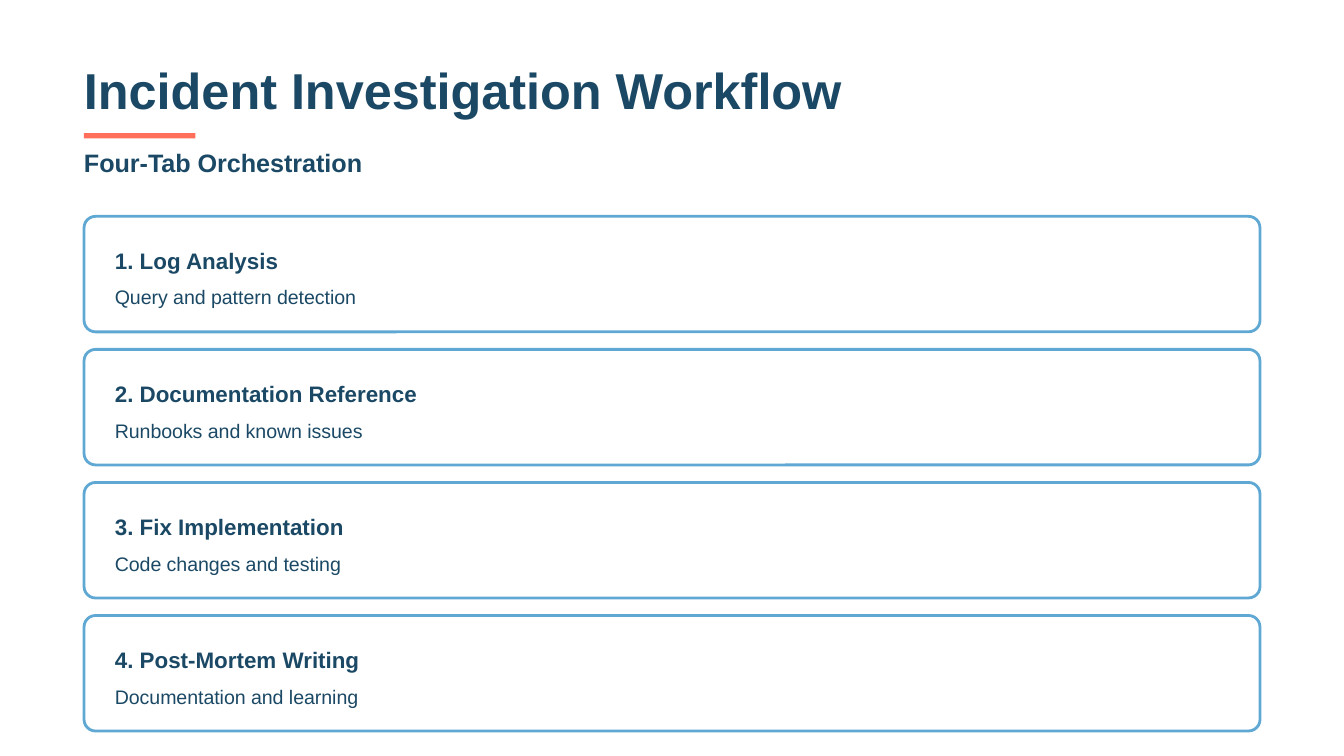
from pptx import Presentation
from pptx.dml.color import RGBColor
from pptx.enum.shapes import MSO_SHAPE
from pptx.util import Inches, Pt

RECTANGLE = MSO_SHAPE.RECTANGLE
ROUNDED = MSO_SHAPE.ROUNDED_RECTANGLE
COLORS = {"navy": "1B4965", "coral": "FF6F59", "blue": "5FA8D3", "white": "FFFFFF"}
LEFT, CARD_WIDTH, CARD_HEIGHT = 5 / 8, 8.75, 0.86
CARD_TOP, CARD_STEP = 1.61, 0.99
TEXT_INSET, TEXT_WIDTH = 0.23, 8.46

STEPS = [
    ("1. Log Analysis", "Query and pattern detection"),
    ("2. Documentation Reference", "Runbooks and known issues"),
    ("3. Fix Implementation", "Code changes and testing"),
    ("4. Post-Mortem Writing", "Documentation and learning"),
]

deck = Presentation()
deck.slide_width = Inches(10)
deck.slide_height = Inches(10 * 9 / 16)
page = deck.slides.add_slide(deck.slide_layouts[6])
page.background.fill.solid()
page.background.fill.fore_color.rgb = RGBColor.from_string(COLORS["white"])


def add_text(text, left, top, width, height, size, spacing, bold=True):
    box = page.shapes.add_textbox(Inches(left), Inches(top), Inches(width), Inches(height))
    frame = box.text_frame
    frame.word_wrap = True
    frame.margin_left = frame.margin_right = frame.margin_top = frame.margin_bottom = 0
    para = frame.paragraphs[0]
    para.text = text
    para.line_spacing = Pt(spacing)
    para.font.name = "Arial"
    para.font.size = Pt(size)
    para.font.bold = bold
    para.font.color.rgb = RGBColor.from_string(COLORS["navy"])


def add_block(kind, left, top, width, height, fill):
    block = page.shapes.add_shape(kind, Inches(left), Inches(top), Inches(width), Inches(height))
    block.shadow.inherit = False
    block.fill.solid()
    block.fill.fore_color.rgb = RGBColor.from_string(COLORS[fill])
    block.line.fill.background()
    return block


add_text("Incident Investigation Workflow", LEFT, 0.47, 5.76, 0.42, 27, 30)
add_block(RECTANGLE, LEFT, 0.99, 0.83, 0.04, "coral")
add_text("Four-Tab Orchestration", LEFT, 1.03, 8.93, 0.29, 13.5, 21)

for index, (heading, detail) in enumerate(STEPS):
    top = CARD_TOP + index * CARD_STEP
    card = add_block(ROUNDED, LEFT, top, CARD_WIDTH, CARD_HEIGHT, "white")
    card.adjustments[0] = 0.1
    card.line.color.rgb = RGBColor.from_string(COLORS["blue"])
    card.line.width = Pt(1.5)
    text_left = LEFT + TEXT_INSET
    add_text(heading, text_left, top + 0.18, TEXT_WIDTH, 0.25, 12, 18)
    add_text(detail, text_left, top + 0.48, TEXT_WIDTH, 0.21, 10.5, 15, bold=False)

deck.save("out.pptx")
